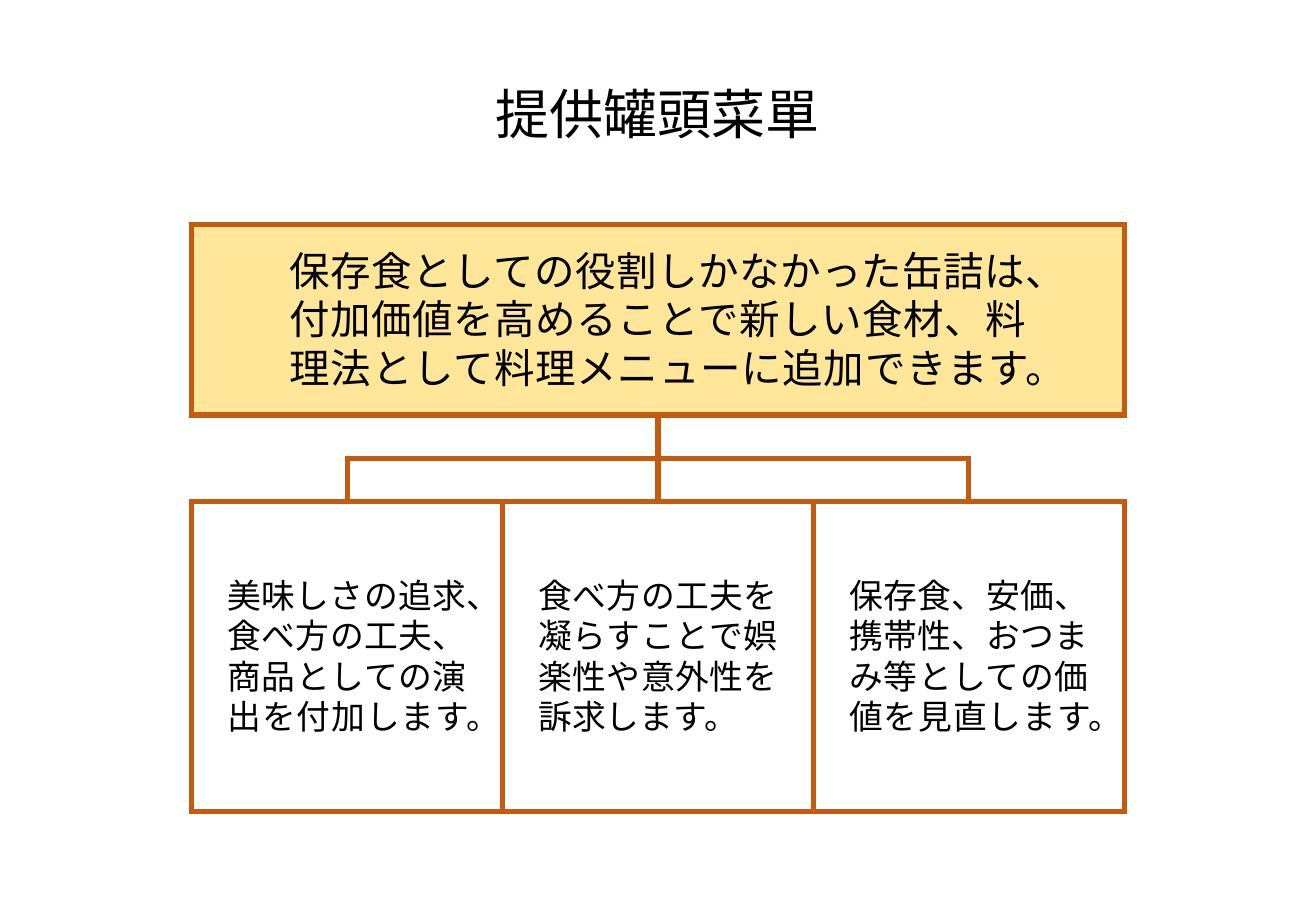
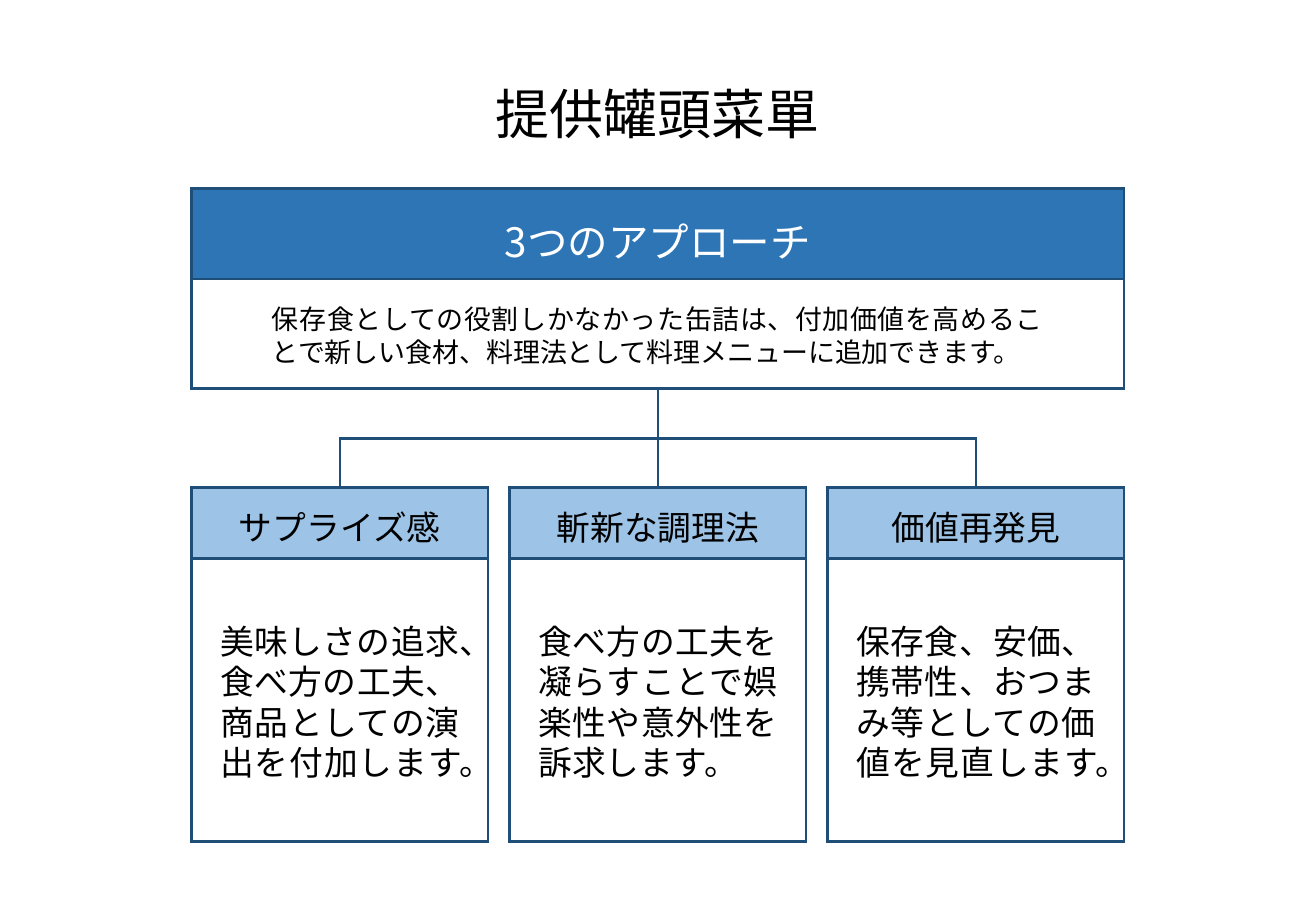
from lxml.etree import SubElement
from pptx import Presentation
from pptx.dml.color import RGBColor
from pptx.enum.lang import MSO_LANGUAGE_ID as Language
from pptx.enum.shapes import MSO_CONNECTOR as Connector, MSO_SHAPE as Preset
from pptx.enum.text import MSO_ANCHOR as Anchor, PP_ALIGN as Align
from pptx.oxml.ns import qn
from pptx.util import Cm, Pt

FONT = "Noto Sans CJK JP"
BLACK, WHITE = "000000", "FFFFFF"
ORANGE, CREAM = "C55A11", "FFE699"
NAVY, BLUE, SKY = "1F4E79", "2E75B6", "9DC3E6"
SLIDE_HEIGHT = 19.05
SLIDE_WIDTH = SLIDE_HEIGHT * 13 / 9
WIDTH = 19.5
LEFT = (SLIDE_WIDTH - WIDTH) / 2
TITLE = "提供罐頭菜單"
SUMMARY = "保存食としての役割しかなかった缶詰は、付加価値を高めることで新しい食材、料理法として料理メニューに追加できます。"
APPROACHES = [
    ("サプライズ感", "美味しさの追求、食べ方の工夫、商品としての演出を付加します。"),
    ("斬新な調理法", "食べ方の工夫を凝らすことで娯楽性や意外性を訴求します。"),
    ("価値再発見", "保存食、安価、携帯性、おつまみ等としての価値を見直します。"),
]


def rgb(value):
    """Turn a hex string into a colour."""
    return RGBColor.from_string(value)


def write(shape, text, size, color=BLACK, align=Align.JUSTIFY, anchor=Anchor.MIDDLE,
          wrap=True, side=0.25, top=0.0, bottom=0.05):
    """Fill a shape with one formatted paragraph."""
    frame = shape.text_frame
    frame.word_wrap = wrap
    frame.vertical_anchor = anchor
    frame.margin_left = frame.margin_right = Cm(side)
    frame.margin_top, frame.margin_bottom = Cm(top), Cm(bottom)
    paragraph = frame.paragraphs[0]
    paragraph.alignment = align
    run = paragraph.add_run()
    run.text = text
    font = run.font
    font.size, font.name = Pt(size), FONT
    font.color.rgb = rgb(color)
    font.language_id = Language.JAPANESE
    SubElement(font._element, qn("a:ea"), typeface=FONT)


def set_line(shape, color, weight):
    """Give a shape or connector a solid line with sharp corners."""
    shape.line.color.rgb = rgb(color)
    shape.line.width = Pt(weight)
    SubElement(shape._element.spPr.find(qn("a:ln")), qn("a:miter"), lim="800000")


def add_box(slide, box, line, weight, fill=None):
    """Draw an outlined rectangle, filled if a colour is given."""
    shape = slide.shapes.add_shape(Preset.RECTANGLE, *map(Cm, box))
    shape.shadow.inherit = False
    set_line(shape, line, weight)
    if fill:
        shape.fill.solid()
        shape.fill.fore_color.rgb = rgb(fill)
    else:
        shape.fill.background()
    return shape


def join(slide, parent, child, line, weight):
    """Connect the bottom of the parent to the top of the child."""
    start_x, start_y = parent.left + parent.width // 2, parent.top + parent.height
    end_x, end_y = child.left + child.width // 2, child.top
    straight = abs(start_x - end_x) < Cm(0.05)
    kind = Connector.STRAIGHT if straight else Connector.ELBOW
    connector = slide.shapes.add_connector(kind, start_x, start_y, end_x, end_y)
    connector.begin_connect(parent, 2)
    connector.end_connect(child, 0)
    set_line(connector, line, weight)
    properties = connector._element.spPr
    SubElement(properties, qn("a:effectLst"))
    if not straight:
        drop, span = end_y - start_y, abs(end_x - start_x)
        connector.left = (start_x + end_x - drop) // 2
        connector.top = (start_y + end_y - span) // 2
        connector.width, connector.height = drop, span
        leftward = end_x < start_x
        properties.xfrm.set("rot", str((90 if leftward else 270) * 60000))
        properties.xfrm.set("flipH", "0" if leftward else "1")


def add_title(slide):
    """Place the shared slide title."""
    width = 7.34
    box = ((SLIDE_WIDTH - width) / 2, 1.55, width, 1.63)
    shape = slide.shapes.add_textbox(*map(Cm, box))
    write(shape, TITLE, 32, align=Align.CENTER, anchor=Anchor.TOP, wrap=False, top=0.13)


def add_headed_box(slide, box, head_height, head, body, fill, head_format, body_format):
    """Stack a coloured heading on a body box and return both."""
    left, top, width, height = box
    body_box = add_box(slide, (left, top + head_height, width, height - head_height), NAVY, 1.5)
    write(body_box, body, **body_format)
    head_box = add_box(slide, (left, top, width, head_height), NAVY, 1.5, fill)
    write(head_box, head, align=Align.CENTER, **head_format)
    return head_box, body_box


def columns(top, height, gap):
    """Split the content width into one box per approach."""
    count = len(APPROACHES)
    width = (WIDTH - gap * (count - 1)) / count
    return [(LEFT + i * (width + gap), top, width, height) for i in range(count)]


def build_summary_slide(slide):
    """Show the summary branching into three plain boxes."""
    add_title(slide)
    banner = add_box(slide, (LEFT, 4.7, WIDTH, 3.98), ORANGE, 3, CREAM)
    write(banner, SUMMARY, 24, side=2.05)
    for box, (_, body) in zip(columns(10.48, 6.5, 0), APPROACHES):
        card = add_box(slide, box, ORANGE, 3)
        write(card, body, 20, side=0.75)
        join(slide, banner, card, ORANGE, 3)


def build_approach_slide(slide):
    """Show the headed summary branching into three headed cards."""
    add_title(slide)
    _, summary = add_headed_box(
        slide, (LEFT, 3.94, WIDTH, 4.19), 1.9, "3つのアプローチ", SUMMARY, BLUE,
        dict(size=24, color=WHITE, top=0.36), dict(size=16, side=1.68, top=0.1))
    for box, (head, body) in zip(columns(10.2, 7.4, 0.45), APPROACHES):
        heading, _ = add_headed_box(
            slide, box, 1.48, head, body, SKY,
            dict(size=20, top=0.2), dict(size=20, side=0.6, top=0.12))
        join(slide, summary, heading, NAVY, 1.5)


def main():
    """Build and save the presentation."""
    presentation = Presentation()
    presentation.slide_width = Cm(SLIDE_WIDTH)
    presentation.slide_height = Cm(SLIDE_HEIGHT)
    for build in (build_summary_slide, build_approach_slide):
        build(presentation.slides.add_slide(presentation.slide_layouts[6]))
    presentation.save("out.pptx")


if __name__ == "__main__":
    main()
